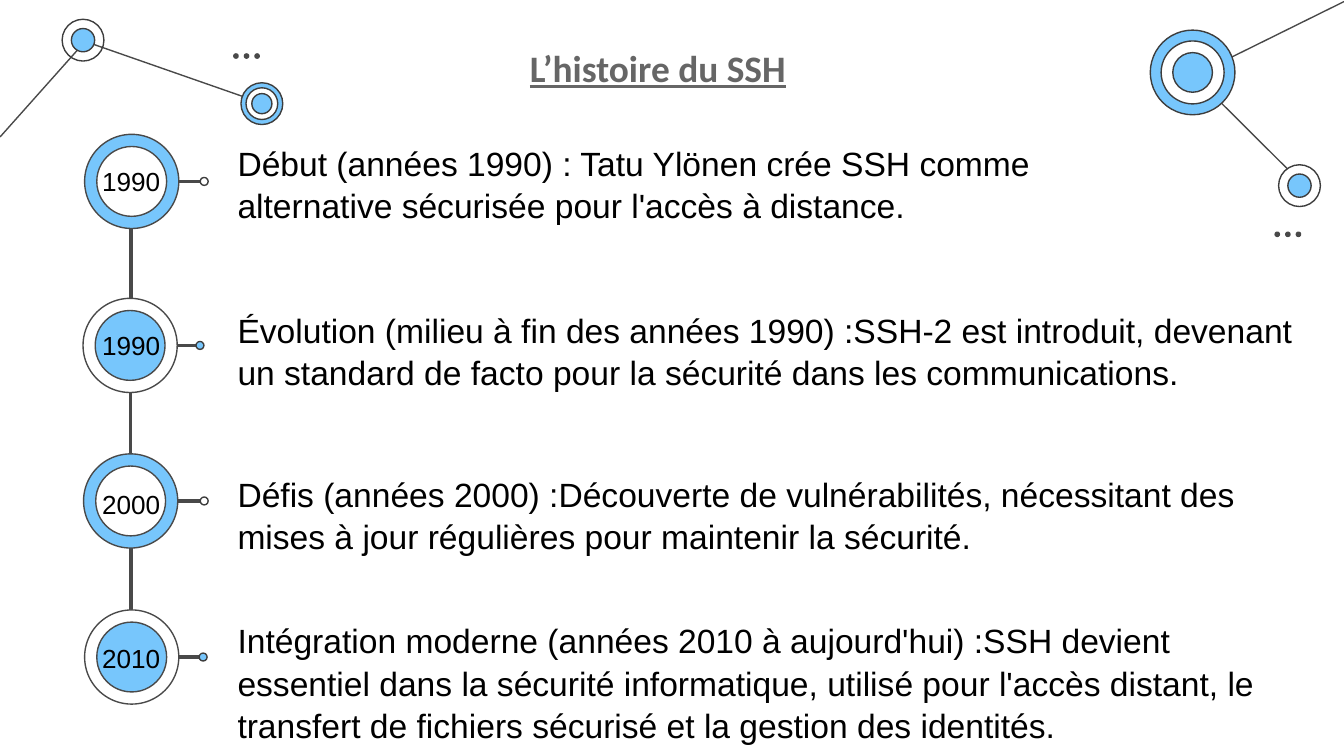
"""Build a timeline slide about the history of SSH."""
from itertools import pairwise

from lxml.etree import SubElement
from pptx import Presentation
from pptx.dml.color import RGBColor
from pptx.enum.shapes import MSO_CONNECTOR as CONN, MSO_SHAPE as SHAPE
from pptx.enum.text import PP_ALIGN as ALIGN
from pptx.oxml.ns import qn
from pptx.util import Cm, Pt

BLUE = RGBColor(0x77, 0xC6, 0xFC)
WHITE = RGBColor(0xFF, 0xFF, 0xFF)
BLACK = RGBColor(0x00, 0x00, 0x00)
DARK = RGBColor(0x3D, 0x3D, 0x3D)
GREY = RGBColor(0x49, 0x49, 0x49)
TITLE_GREY = RGBColor(0x66, 0x66, 0x66)

RING_D, CORE_D, TIP_D = 1.78, 1.32, 0.15
THIN, HAIR = 0.75, 0

prs = Presentation()
prs.slide_width, prs.slide_height = Cm(25.4), Cm(14.29)
s = prs.slides.add_slide(prs.slide_layouts[6])


def add_disc(cx, cy, d, fill, line, width):
    sp = s.shapes.add_shape(SHAPE.OVAL, Cm(cx - d / 2), Cm(cy - d / 2), Cm(d), Cm(d))
    sp.shadow.inherit = False
    if fill is None:
        sp.fill.background()
    else:
        sp.fill.solid()
        sp.fill.fore_color.rgb = fill
    sp.line.color.rgb = line
    sp.line.width = Pt(width)


def add_text(x, y, w, h, text, font, size, color):
    tf = s.shapes.add_textbox(Cm(x), Cm(y), Cm(w), Cm(h)).text_frame
    tf.word_wrap = True
    tf.text = text
    p = tf.paragraphs[0]
    r = p.runs[0]
    r.font.name, r.font.size = font, Pt(size)
    r.font.color.rgb = color
    return tf


events = [
    (2.49, 3.43, 3.86, "1990", 2.97, 2.54, 16.23, 1.7,
     "Début (années 1990) : Tatu Ylönen crée SSH comme alternative sécurisée "
     "pour l'accès à distance."),
    (2.46, 6.53, 3.78, "1990", 6.07, 5.69, 20.62, 2.39,
     "Évolution (milieu à fin des années 1990) :SSH-2 est introduit, devenant "
     "un standard de facto pour la sécurité dans les communications."),
    (2.47, 9.47, 3.86, "2000", 9.07, 8.79, 20.35, 1.73,
     "Défis (années 2000) :Découverte de vulnérabilités, nécessitant des mises "
     "à jour régulières pour maintenir la sécurité."),
    (2.49, 12.42, 3.84, "2010", 11.99, 11.56, 20.35, 2.41,
     "Intégration moderne (années 2010 à aujourd'hui) :SSH devient essentiel "
     "dans la sécurité informatique, utilisé pour l'accès distant, le transfert "
     "de fichiers sécurisé et la gestion des identités."),
]

links = [
    (24.59, 3.45, 22.53, 1.4, THIN),
    (1.63, 0.79, 4.98, 1.96, THIN),
    (0, 2.59, 1.63, 0.76, THIN),
    (25.4, 0.03, 22.63, 1.4, THIN),
]
links += [(cx + CORE_D / 2, cy, tip, cy, HAIR) for cx, cy, tip, *_ in events]
links += [((a[0] + b[0]) / 2, a[1] + RING_D / 2, (a[0] + b[0]) / 2, b[1] - RING_D / 2, HAIR)
          for a, b in pairwise(events)]
for x1, y1, x2, y2, width in links:
    c = s.shapes.add_connector(CONN.STRAIGHT, Cm(x1), Cm(y1), Cm(x2), Cm(y2))
    c.line.color.rgb = GREY
    c.line.width = Pt(width)
    SubElement(c._element.spPr, qn("a:effectLst"))

nodes = [
    (1.57, 0.76, [(0.79, None), (0.44, BLUE)]),
    (4.95, 1.96, [(0.79, BLUE), (0.6, WHITE), (0.38, BLUE)]),
    (22.54, 1.37, [(1.6, BLUE), (1.19, WHITE), (0.75, BLUE)]),
    (24.56, 3.51, [(0.79, WHITE), (0.44, BLUE)]),
]
for cx, cy, rings in nodes:
    for d, fill in rings:
        add_disc(cx, cy, d, fill, DARK, THIN)

for x, y in [(4.46, 1.06), (24.14, 4.43)]:
    for i in range(3):
        add_disc(x + 0.2 * i, y, 0.08, GREY, GREY, HAIR)

tf = add_text(6.3, 0.61, 12.27, 0.64, "L’histoire du SSH", "Calibri", 20, TITLE_GREY)
tf.margin_top = tf.margin_bottom = Cm(0.25)
p = tf.paragraphs[0]
p.alignment = ALIGN.CENTER
r = p.runs[0]
r.font.bold = r.font.underline = True

for i, (cx, cy, tip, year, year_y, y, w, h, text) in enumerate(events):
    ring, core = (WHITE, BLUE) if i % 2 else (BLUE, WHITE)
    add_disc(cx, cy, RING_D, ring, GREY, HAIR)
    add_disc(cx, cy, CORE_D, core, GREY, HAIR)
    add_disc(tip, cy, TIP_D, core, DARK, HAIR)
    for tf in (add_text(1.68, year_y, 1.78, 0.81, year, "Arial", 14, BLACK),
               add_text(4.24, y, w, h, text, "Arial", 18, BLACK)):
        tf.paragraphs[0].line_spacing = 1.05

prs.save("out.pptx")
